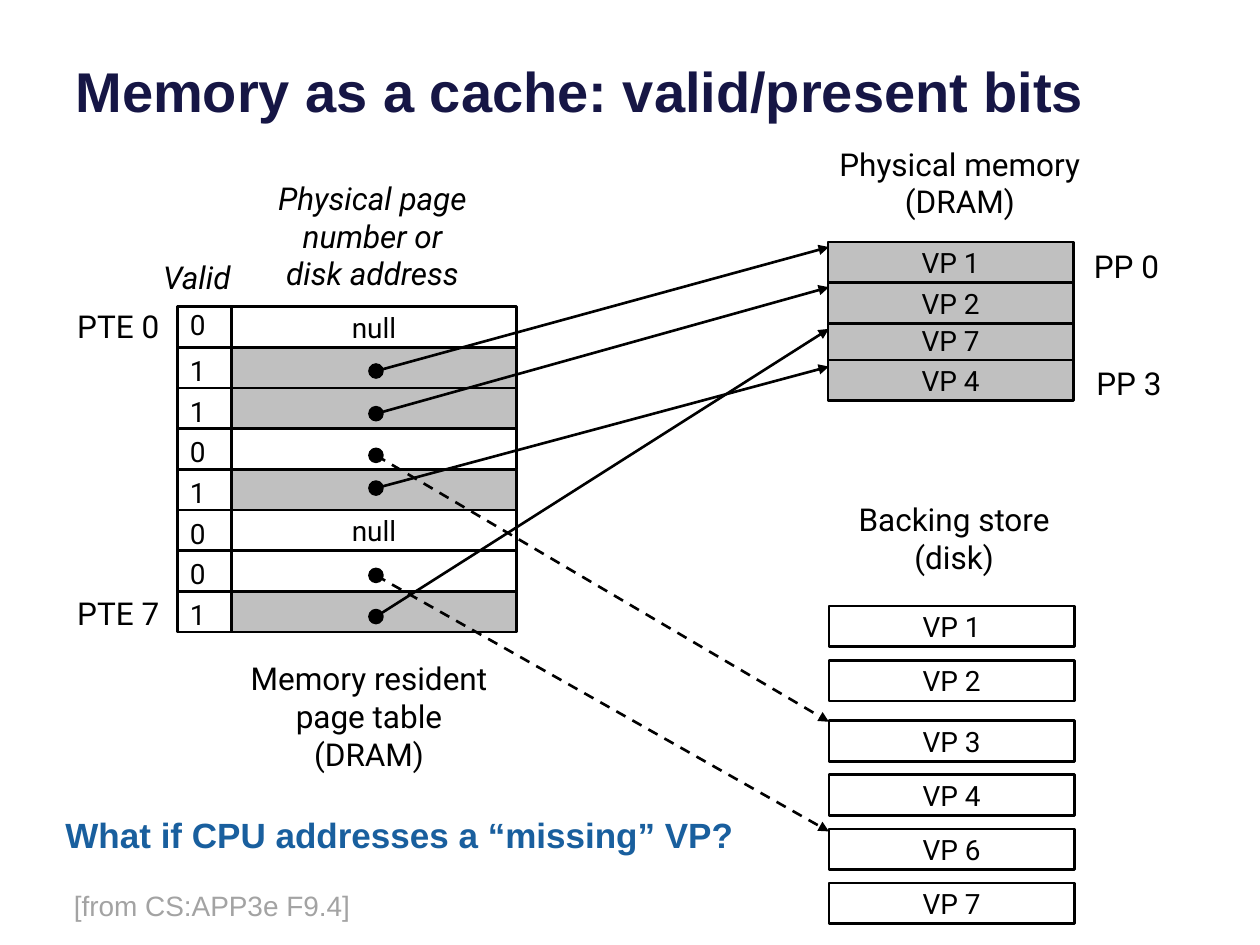
import dataclasses

import pptx
import pptx.dml.color
import pptx.enum.dml
import pptx.enum.shapes
import pptx.enum.text
import pptx.oxml
import pptx.oxml.ns
import pptx.util

Cm = pptx.util.Cm
Pt = pptx.util.Pt
Shape = pptx.enum.shapes.MSO_SHAPE
Align = pptx.enum.text.PP_ALIGN
Anchor = pptx.enum.text.MSO_ANCHOR


@dataclasses.dataclass(frozen=True)
class Theme:
    black: str = "000000"
    white: str = "FFFFFF"
    cached: str = "C0C0C0"
    title: str = "161645"
    question: str = "195F9E"
    credit: str = "A3A3A3"
    heading_font: str = "Arial"
    diagram_font: str = "Roboto"
    title_size: int = 32
    question_size: int = 20
    label_size: int = 18
    cell_size: int = 16
    line_width: float = 1.5
    dot_line_width: float = 1


THEME = Theme()
LABEL = {"name": THEME.diagram_font, "size": Pt(THEME.label_size)}
CELL = {"name": THEME.diagram_font, "size": Pt(THEME.cell_size)}
TITLE = {"name": THEME.heading_font, "size": Pt(THEME.title_size), "bold": True}
QUESTION = {"name": THEME.heading_font, "size": Pt(THEME.question_size), "bold": True}
CREDIT = {"name": THEME.heading_font, "size": Pt(THEME.cell_size)}

ROW_HEIGHT = 0.82
TABLE_TOP = 6.18
VALID_LEFT, VALID_WIDTH = 3.58, 1.09
ADDRESS_LEFT, ADDRESS_WIDTH = 4.67, 5.74
MEMORY_LEFT, DISK_LEFT, PAGE_WIDTH = 16.69, 16.71, 4.95
DISK_PITCH = 1.09
DOT_LEFT, DOT_SIZE = 7.44, 0.28

# Valid bit, dot top (None shows "null"), height at which the arrow ends
PAGE_TABLE = [
    (0, None, None),
    (1, 7.34, 4.98),
    (1, 8.2, 5.79),
    (0, 9.04, 14.55),
    (1, 9.7, 7.39),
    (0, None, None),
    (0, 11.46, 16.76),
    (1, 12.29, 6.63),
]
# Back to front: VP 2 overlaps the top of VP 7
MEMORY_PAGES = [("VP 7", 6.45), ("VP 4", 7.26), ("VP 2", 5.7), ("VP 1", 4.88)]
DISK_GROUPS = [
    (12.22, ["VP 1", "VP 2"]),
    (14.53, ["VP 3", "VP 4", "VP 6", "VP 7"]),
]
ITALIC = {**LABEL, "italic": True}
# Text, left, top, width, height, font values
LABELS = [
    ("Valid", 2.74, 5.08, 2.46, 1.02, ITALIC),
    ("Physical page\nnumber or\ndisk address", 5.26, 3.48, 4.5, 2.57, ITALIC),
    ("PTE 0", 1.24, 6.07, 2.29, 1.02, LABEL),
    ("PTE 7", 1.24, 11.86, 2.29, 1.02, LABEL),
    ("Memory resident\npage table\n(DRAM)", 4.8, 13.16, 5.28, 2.57, LABEL),
    ("Physical memory\n(DRAM)", 16.66, 2.79, 5.38, 1.8, LABEL),
    ("PP 0", 21.77, 4.85, 1.88, 1.02, LABEL),
    ("PP 3", 21.82, 7.21, 1.88, 1.02, LABEL),
    ("Backing store\n(disk)", 17.04, 9.96, 4.39, 1.8, LABEL),
]


def rgb(value):
    return pptx.dml.color.RGBColor.from_string(value)


def write(frame, text, font, color, align):
    for index, line in enumerate(text.split("\n")):
        para = frame.paragraphs[0] if index == 0 else frame.add_paragraph()
        para.alignment = align
        span = para.add_run()
        span.text = line
        for name, value in font.items():
            setattr(span.font, name, value)
        span.font.color.rgb = rgb(color)


def add_label(page, text, left, top, width, height, font, color=THEME.black,
              align=Align.CENTER, anchor=Anchor.TOP, wrap=False):
    box = page.shapes.add_textbox(Cm(left), Cm(top), Cm(width), Cm(height))
    box.text_frame.word_wrap = wrap
    box.text_frame.vertical_anchor = anchor
    write(box.text_frame, text, font, color, align)


def add_filled(page, kind, left, top, width, height, fill, line_width):
    """Add an outlined preset shape; a fill of None leaves it clear."""
    shape = page.shapes.add_shape(kind, Cm(left), Cm(top), Cm(width), Cm(height))
    shape.shadow.inherit = False
    if fill:
        shape.fill.solid()
        shape.fill.fore_color.rgb = rgb(fill)
    else:
        shape.fill.background()
    shape.line.color.rgb = rgb(THEME.black)
    shape.line.width = Pt(line_width)
    return shape


def add_cell(page, left, top, width, fill=None, text=None):
    cell = add_filled(page, Shape.RECTANGLE, left, top, width, ROW_HEIGHT,
                      fill, THEME.line_width)
    if text:
        cell.text_frame.word_wrap = False
        cell.text_frame.vertical_anchor = Anchor.MIDDLE
        write(cell.text_frame, text, CELL, THEME.black, Align.CENTER)


def add_arrow(page, start, end, dashed):
    arrow = page.shapes.add_connector(
        pptx.enum.shapes.MSO_CONNECTOR.STRAIGHT, *map(Cm, start + end))
    arrow.line.color.rgb = rgb(THEME.black)
    arrow.line.width = Pt(THEME.line_width)
    if dashed:
        arrow.line.dash_style = pptx.enum.dml.MSO_LINE.DASH
    namespace = pptx.oxml.ns.nsdecls("a")
    arrow.line._get_or_add_ln().append(
        pptx.oxml.parse_xml(f'<a:tailEnd {namespace} type="triangle"/>'))
    arrow._element.spPr.append(pptx.oxml.parse_xml(f"<a:effectLst {namespace}/>"))


def add_page_table(page):
    for row, (valid, dot_top, _) in enumerate(PAGE_TABLE):
        top = TABLE_TOP + row * ROW_HEIGHT
        add_cell(page, ADDRESS_LEFT, top, ADDRESS_WIDTH,
                 THEME.cached if valid else THEME.white,
                 "null" if dot_top is None else None)
        add_cell(page, VALID_LEFT, top, VALID_WIDTH)
        bit_top = top if row else top - 0.1
        add_label(page, str(valid), VALID_LEFT, bit_top, 0.84, 0.94, CELL,
                  align=Align.LEFT)


def add_pages(page):
    """Add the pages held in memory and on disk."""
    for name, top in MEMORY_PAGES:
        add_cell(page, MEMORY_LEFT, top, PAGE_WIDTH, THEME.cached, name)
    for group_top, names in DISK_GROUPS:
        for index, name in enumerate(names):
            add_cell(page, DISK_LEFT, group_top + index * DISK_PITCH,
                     PAGE_WIDTH, THEME.white, name)


def add_pointers(page):
    """Link each mapped table row to its page; dashed arrows lead to disk."""
    for valid, dot_top, end_y in PAGE_TABLE:
        if dot_top is None:
            continue
        add_filled(page, Shape.OVAL, DOT_LEFT, dot_top, DOT_SIZE, DOT_SIZE,
                   THEME.black, THEME.dot_line_width)
        center = (DOT_LEFT + DOT_SIZE / 2, dot_top + DOT_SIZE / 2)
        add_arrow(page, center, (DISK_LEFT, end_y), dashed=not valid)


def main():
    deck = pptx.Presentation()
    deck.slide_width, deck.slide_height = Cm(25.4), Cm(19.05)
    page = deck.slides.add_slide(deck.slide_layouts[6])
    add_label(page, "Memory as a cache: valid/present bits", 1.27, -1.7, 22.86, 4.32,
              TITLE, THEME.title, Align.LEFT, Anchor.BOTTOM, wrap=True)
    add_page_table(page)
    add_pages(page)
    add_pointers(page)
    for label in LABELS:
        add_label(page, *label)
    add_label(page, "[from CS:APP3e F9.4]", 1.24, 17.78, 6.15, 0.94,
              CREDIT, THEME.credit, Align.LEFT)
    add_label(page, "What if CPU addresses a “missing” VP?", 1.07, 16.26, 14.17, 1.12,
              QUESTION, THEME.question, Align.LEFT, Anchor.MIDDLE, wrap=True)
    deck.save("out.pptx")


if __name__ == "__main__":
    main()
